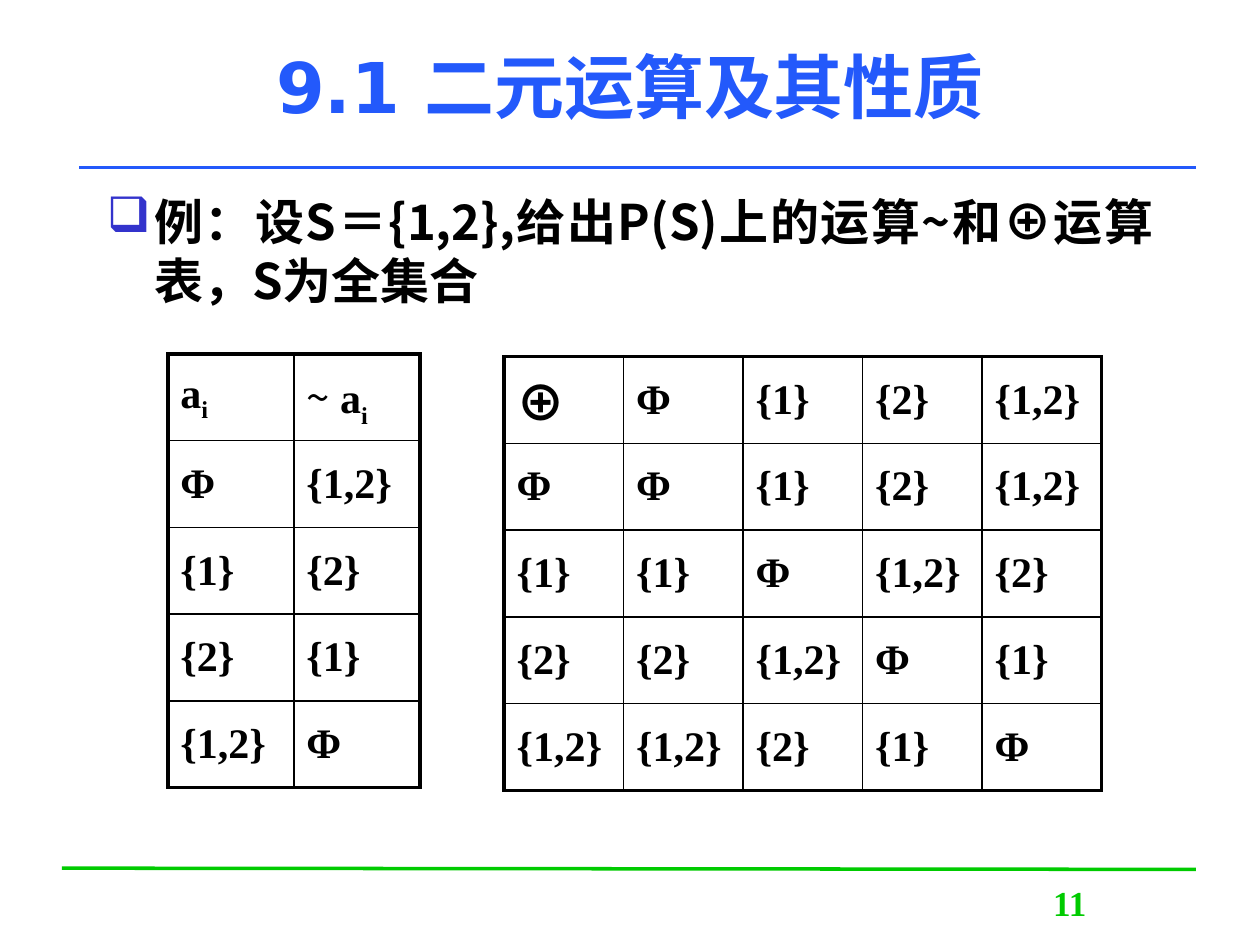
import pptx
import pptx.dml.color
import pptx.enum.shapes
import pptx.enum.text
import pptx.oxml
import pptx.oxml.ns
import pptx.util
import lxml.etree

Pt = pptx.util.Pt
qn = pptx.oxml.ns.qn
ALIGN = pptx.enum.text.PP_ALIGN
ANCHOR = pptx.enum.text.MSO_ANCHOR

BLUE = pptx.dml.color.RGBColor(0x23, 0x59, 0xFB)
GREEN = pptx.dml.color.RGBColor(0x00, 0xCB, 0x00)
BULLET_BLUE = pptx.dml.color.RGBColor(0x33, 0x33, 0xCC)
BLACK = pptx.dml.color.RGBColor(0, 0, 0)

CJK = "Noto Sans CJK SC"
SERIF = "Times New Roman"


def add_run(paragraph, text, size, font, color, bold=True, baseline=0):
    """Baseline is a percentage; a negative one makes a subscript."""
    run = paragraph.add_run()
    run.text = text
    run.font.size = Pt(size)
    run.font.name = font
    run.font.bold = bold
    run.font.color.rgb = color
    properties = run.font._element
    lxml.etree.SubElement(properties, qn("a:ea"), typeface=CJK)
    if baseline:
        properties.set("baseline", str(baseline * 1000))


def set_border(cell, side, width):
    line = lxml.etree.SubElement(cell._tc.get_or_add_tcPr(), qn("a:ln" + side), w=str(Pt(width)))
    fill = lxml.etree.SubElement(line, qn("a:solidFill"))
    lxml.etree.SubElement(fill, qn("a:srgbClr"), val=str(BLACK))


presentation = pptx.Presentation()
presentation.slide_width = Pt(720)
presentation.slide_height = Pt(540)
slide = presentation.slides.add_slide(presentation.slide_layouts[6])

# Rules under the title and above the page number
for x1, y1, x2, y2, color in [
    (35.3, 496.1, 683.3, 496.8, GREEN),
    (45.4, 95.8, 683.3, 95.8, BLUE),
]:
    rule = slide.shapes.add_connector(
        pptx.enum.shapes.MSO_CONNECTOR.STRAIGHT, Pt(x1), Pt(y1), Pt(x2), Pt(y2))
    rule.line.color.rgb = color
    rule.line.width = Pt(2)
    lxml.etree.SubElement(rule._element.spPr, qn("a:effectLst"))

# Page number, title and example
for box, text, size, font, color, align, anchor, space in [
    ((554.4, 500.4, 113.8, 36), "11", 20, SERIF, GREEN, ALIGN.CENTER, ANCHOR.TOP, 10),
    ((54, 3.6, 612, 90), "9.1 二元运算及其性质", 40, "DejaVu Sans", BLUE,
     ALIGN.CENTER, ANCHOR.MIDDLE, 0),
    ((54, 105.8, 612, 385.2), "例：设S＝{1,2},给出P(S)上的运算~和⊕运算表，S为全集合", 28, CJK, BLACK,
     ALIGN.JUSTIFY, ANCHOR.TOP, 5.6),
]:
    frame = slide.shapes.add_textbox(*map(Pt, box)).text_frame
    frame.word_wrap = True
    frame.vertical_anchor = anchor
    paragraph = frame.paragraphs[0]
    paragraph.alignment = align
    paragraph.space_before = Pt(space)
    add_run(paragraph, text, size, font, color)

# The example, last in the list, carries the bullet
example_properties = paragraph._p.get_or_add_pPr()
example_properties.set("marL", str(Pt(27)))
example_properties.set("indent", str(Pt(-27)))
bullet_color = lxml.etree.SubElement(example_properties, qn("a:buClr"))
lxml.etree.SubElement(bullet_color, qn("a:srgbClr"), val=str(BULLET_BLUE))
lxml.etree.SubElement(example_properties, qn("a:buChar"), char="❑")

# Operation tables; headings need more than one plain run
heading_runs = {
    "⊕": [("⊕", 28, CJK, BLACK)],
    "ai": [("a", 24, SERIF, BLACK), ("i", 24, SERIF, BLACK, True, -25)],
    "~ai": [("~", 24, CJK, BLACK, False), (" a", 24, SERIF, BLACK),
            ("i", 24, SERIF, BLACK, True, -25)],
}
symmetric_difference = [
    ["⊕", "Φ", "{1}", "{2}", "{1,2}"],
    ["Φ", "Φ", "{1}", "{2}", "{1,2}"],
    ["{1}", "{1}", "Φ", "{1,2}", "{2}"],
    ["{2}", "{2}", "{1,2}", "Φ", "{1}"],
    ["{1,2}", "{1,2}", "{2}", "{1}", "Φ"],
]
complement = [
    ["ai", "~ai"],
    ["Φ", "{1,2}"],
    ["{1}", "{2}"],
    ["{2}", "{1}"],
    ["{1,2}", "Φ"],
]
ROW_HEIGHT = 49.55
for rows, left, top, column_width in [
    (symmetric_difference, 288, 203.8, 68.3),
    (complement, 95.9, 202.3, 72),
]:
    row_count, column_count = len(rows), len(rows[0])
    table = slide.shapes.add_table(
        row_count, column_count, Pt(left), Pt(top),
        Pt(column_width * column_count), Pt(ROW_HEIGHT * row_count)).table
    table.first_row = False
    table.horz_banding = False
    for column in table.columns:
        column.width = Pt(column_width)
    for r, row in enumerate(rows):
        table.rows[r].height = Pt(ROW_HEIGHT)
        for c, entry in enumerate(row):
            cell = table.cell(r, c)
            outer_sides = {"L": c == 0, "R": c == column_count - 1,
                           "T": r == 0, "B": r == row_count - 1}
            for side, is_outer in outer_sides.items():
                set_border(cell, side, 2.25 if is_outer else 1)
            cell.fill.background()
            cell.vertical_anchor = ANCHOR.MIDDLE
            paragraph = cell.text_frame.paragraphs[0]
            paragraph.space_before = Pt(4.8)
            for run in heading_runs.get(entry, [(entry, 24, SERIF, BLACK)]):
                add_run(paragraph, *run)

presentation.save("out.pptx")
